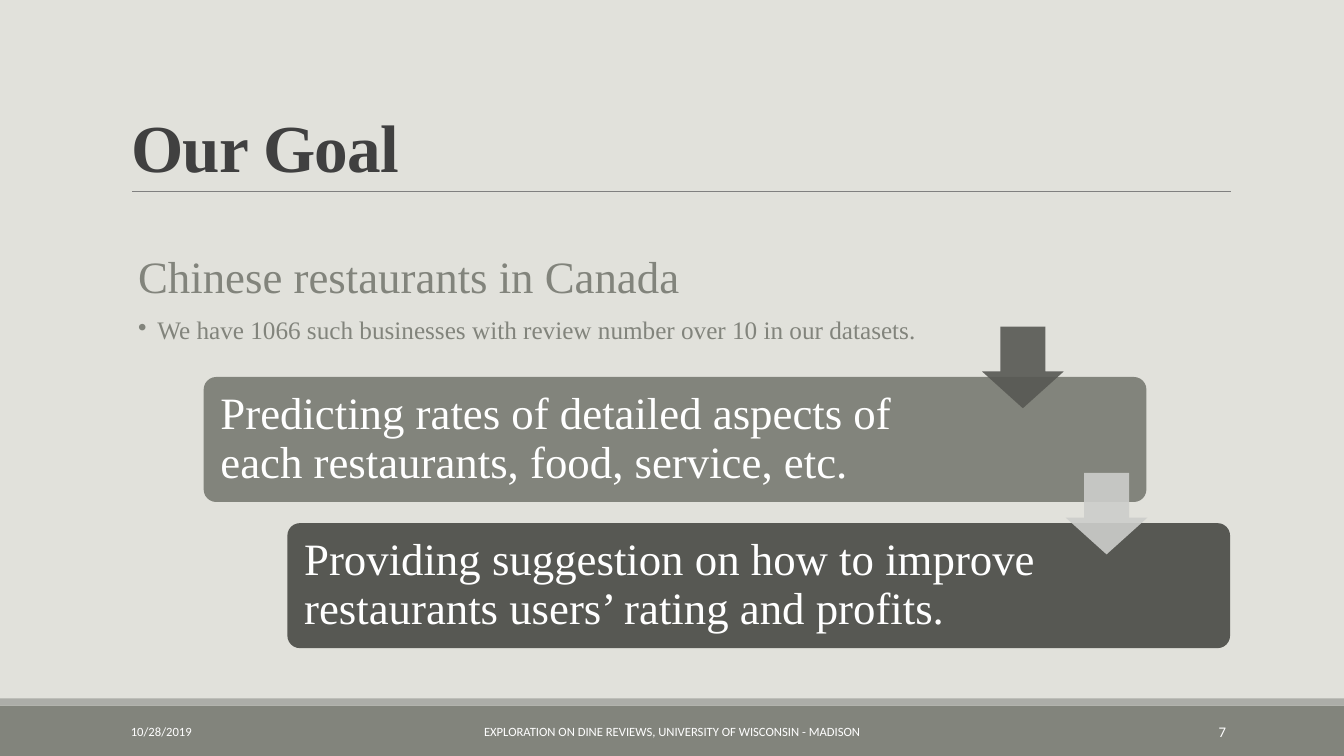
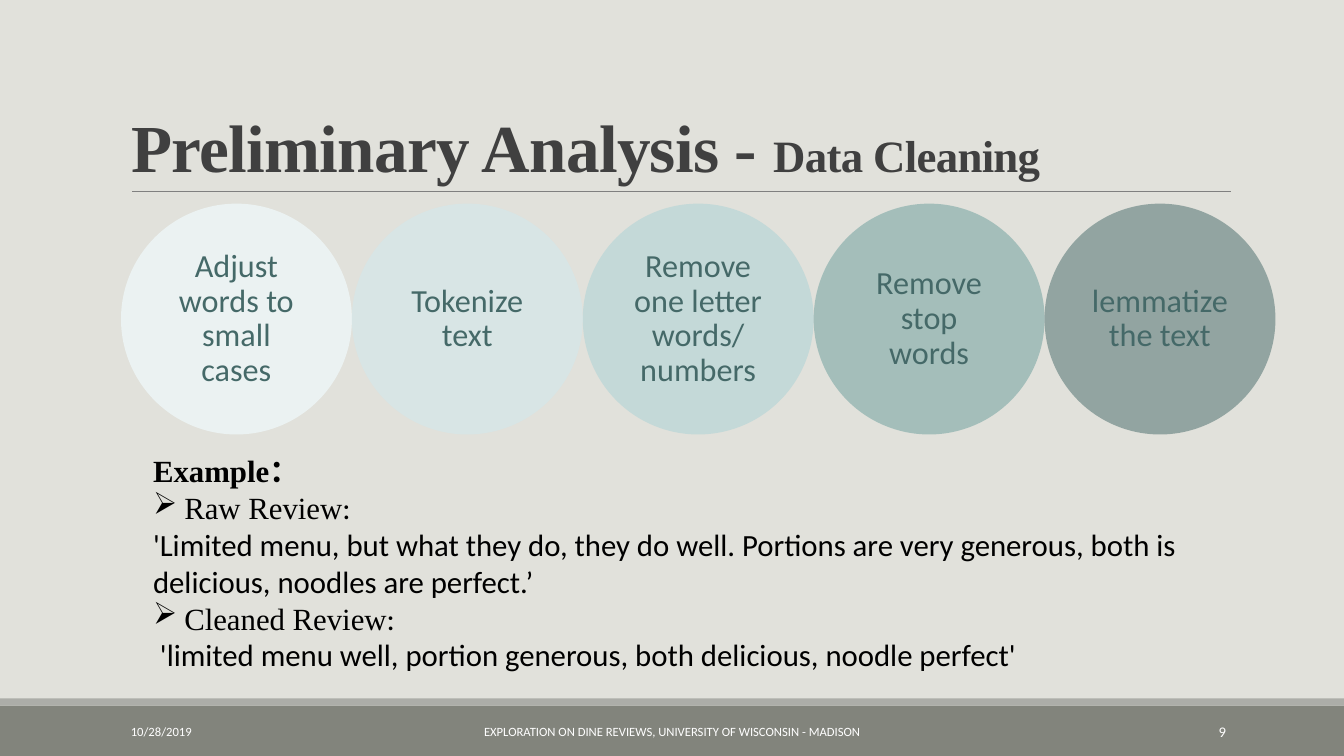
from lxml import etree
from pptx import Presentation
from pptx.dml.color import RGBColor
from pptx.enum.shapes import MSO_CONNECTOR, MSO_SHAPE
from pptx.enum.text import MSO_ANCHOR, MSO_AUTO_SIZE, PP_ALIGN
from pptx.oxml.ns import qn
from pptx.util import Inches, Pt

COLORS = {
    "background": "E1E1DB", "band": "82847C", "stripe": "ACADA8",
    "rule": "808080", "title": "404040", "white": "FFFFFF", "black": "000000",
    "dark": "575853", "pale": "CDCECB", "teal": "456968",
    "step1": "EBF2F2", "step2": "D8E5E5", "step3": "C4D9D8", "step4": "689D9B",
}
SERIF, SANS = "Times New Roman", "Calibri"
FOOTER = "EXPLORATION ON DINE REVIEWS, UNIVERSITY OF WISCONSIN - MADISON"
DATE = "10/28/2019"


def rgb(name):
    return RGBColor.from_string(COLORS[name])


def style_run(run, size, face, color, bold=False):
    run.font.size = Pt(size)
    run.font.name = face
    run.font.color.rgb = rgb(color)
    run.font.bold = bold


def write(paragraph, text, size, face, color, align=PP_ALIGN.LEFT, spacing=1.0):
    paragraph.text = text
    paragraph.alignment = align
    paragraph.line_spacing = spacing
    style_run(paragraph.runs[0], size, face, color)


def indent(paragraph, left, first=0, bullet=None):
    props = paragraph._p.get_or_add_pPr()
    props.set("marL", str(Inches(left)))
    props.set("indent", str(Inches(first)))
    if bullet:
        etree.SubElement(props, qn("a:buChar")).set("char", bullet)


def set_frame(frame, anchor, margin_x=0.1, margin_y=0.05):
    frame.word_wrap = True
    frame.auto_size = MSO_AUTO_SIZE.NONE
    frame.vertical_anchor = anchor
    frame.margin_left = frame.margin_right = Inches(margin_x)
    frame.margin_top = frame.margin_bottom = Inches(margin_y)
    return frame


def add_box(slide, left, top, width, height, anchor=MSO_ANCHOR.MIDDLE, **margins):
    box = slide.shapes.add_textbox(
        Inches(left), Inches(top), Inches(width), Inches(height))
    return set_frame(box.text_frame, anchor, **margins)


def add_block(slide, kind, left, top, width, height, color, opacity=100, adjust=()):
    block = slide.shapes.add_shape(
        kind, Inches(left), Inches(top), Inches(width), Inches(height))
    block.shadow.inherit = False
    block.fill.solid()
    block.fill.fore_color.rgb = rgb(color)
    block.line.fill.background()
    for index, value in enumerate(adjust):
        block.adjustments[index] = value
    if opacity < 100:
        fill = block._element.spPr.find(qn("a:solidFill"))
        etree.SubElement(fill[0], qn("a:alpha")).set("val", str(opacity * 1000))
    return block


def add_title(slide, parts):
    """Write the title from (text, size) parts."""
    title = slide.shapes.title
    title.left, title.top = Inches(1.2), Inches(0.31)
    title.width, title.height = Inches(11), Inches(1.59)
    paragraph = set_frame(title.text_frame, MSO_ANCHOR.BOTTOM).paragraphs[0]
    paragraph.alignment = PP_ALIGN.LEFT
    paragraph.line_spacing = 0.85
    for text, size in parts:
        run = paragraph.add_run()
        run.text = text
        style_run(run, size, SERIF, "title", bold=True)
        run._r.get_or_add_rPr().set("spc", "-50")


def add_page(prs, title_parts, number):
    """Start a slide with the shared bands, rule, title and footer."""
    slide = prs.slides.add_slide(prs.slide_layouts[5])
    add_block(slide, MSO_SHAPE.RECTANGLE, 0, 7, 13.33, 0.5, "band")
    add_block(slide, MSO_SHAPE.RECTANGLE, 0, 6.93, 13.33, 0.07, "stripe")
    rule = slide.shapes.add_connector(
        MSO_CONNECTOR.STRAIGHT, Inches(1.31), Inches(1.9), Inches(12.21), Inches(1.9))
    rule.line.color.rgb = rgb("rule")
    rule.line.width = Pt(0.5)
    etree.SubElement(rule._element.spPr, qn("a:effectLst"))
    add_title(slide, title_parts)
    for text, left, width, size, align in (
        (FOOTER, 4.03, 5.27, 9, PP_ALIGN.CENTER),
        (DATE, 1.2, 2.7, 9, PP_ALIGN.LEFT),
        (str(number), 10.83, 1.43, 10.5, PP_ALIGN.RIGHT),
    ):
        frame = add_box(slide, left, 7.06, width, 0.4)
        write(frame.paragraphs[0], text, size, SANS, "white", align)
    return slide


def add_goal_card(slide, left, top, color, text):
    card = add_block(slide, MSO_SHAPE.ROUNDED_RECTANGLE, left, top, 9.35, 1.24,
                     color, adjust=(0.1,))
    frame = set_frame(card.text_frame, MSO_ANCHOR.MIDDLE, 0.13, 0.13)
    frame.margin_right = Inches(1.76)  # room for the arrows
    write(frame.paragraphs[0], text, 32, SERIF, "white", spacing=0.9)


def build_goal(prs):
    slide = add_page(prs, [("Our Goal", 48)], 7)

    # Scope of the study
    scope = add_box(slide, 1.24, 2.39, 8.01, 1.17, margin_x=0.13, margin_y=0.13)
    heading, detail = scope.paragraphs[0], scope.add_paragraph()
    write(heading, "Chinese restaurants in Canada", 32, SERIF, "band", spacing=0.9)
    heading.space_after = Pt(11)
    indent(detail, 0.19, -0.19, "•")
    write(detail, "We have 1066 such businesses with review number over 10 in our datasets.",
          18, SERIF, "band", spacing=0.9)

    # Staggered goals, each entered by an arrow
    goals = (
        ("Predicting rates of detailed aspects of each restaurants, food, service, etc.",
         "band", "dark"),
        ("Providing suggestion on how to improve restaurants users’ rating and profits.",
         "dark", "pale"),
    )
    step_x, step_y = 0.83, 1.45
    for index, (text, color, _) in enumerate(goals):
        add_goal_card(slide, 2.02 + index * step_x, 3.74 + index * step_y, color, text)
    for index, (_, _, color) in enumerate(goals):
        add_block(slide, MSO_SHAPE.DOWN_ARROW, 9.74 + index * step_x,
                  3.24 + index * step_y, 0.81, 0.81, color, 90, (0.55, 0.45))


def build_cleaning(prs):
    slide = add_page(prs, [("Preliminary Analysis - ", 48), ("Data Cleaning", 32)], 9)

    # Row of touching circles
    diameter = 2.29
    steps = (
        ("Adjust words to small cases", "step1", 100),
        ("Tokenize text", "step2", 100),
        ("Remove one letter words/ numbers", "step3", 100),
        ("Remove stop words", "step4", 50),
        ("lemmatize the text", "teal", 50),
    )
    for index, (text, color, opacity) in enumerate(steps):
        circle = add_block(slide, MSO_SHAPE.OVAL, 1.2 + index * diameter, 2.02,
                           diameter, diameter, color, opacity)
        frame = set_frame(circle.text_frame, MSO_ANCHOR.MIDDLE, 0.13, 0.03)
        write(frame.paragraphs[0], text, 23, SANS, "teal", PP_ALIGN.CENTER, 0.9)

    # Review before and after cleaning
    example = add_box(slide, 1.2, 4.43, 10.87, 2.63, MSO_ANCHOR.TOP)
    heading = example.paragraphs[0]
    indent(heading, 0.22)
    write(heading, "Example：", 22, SERIF, "black")
    heading.runs[0].font.bold = True
    for label, review in (
        ("Raw Review", "'Limited menu, but what they do, they do well. Portions are "
                       "very generous, both is delicious, noodles are perfect.’"),
        ("Cleaned Review",
         " 'limited menu well, portion generous, both delicious, noodle perfect'"),
    ):
        label_line, review_line = example.add_paragraph(), example.add_paragraph()
        indent(label_line, 0.53, -0.31, "➢")
        write(label_line, label, 22, SERIF, "black")
        colon = label_line.add_run()
        colon.text = ":"
        style_run(colon, 22, SANS, "black")
        indent(review_line, 0.22)
        write(review_line, review, 22, SANS, "black")


def main():
    prs = Presentation()
    prs.slide_width, prs.slide_height = Inches(13.33), Inches(7.5)
    backdrop = prs.slide_master.background.fill
    backdrop.solid()
    backdrop.fore_color.rgb = rgb("background")
    build_goal(prs)
    build_cleaning(prs)
    prs.save("out.pptx")


if __name__ == "__main__":
    main()
